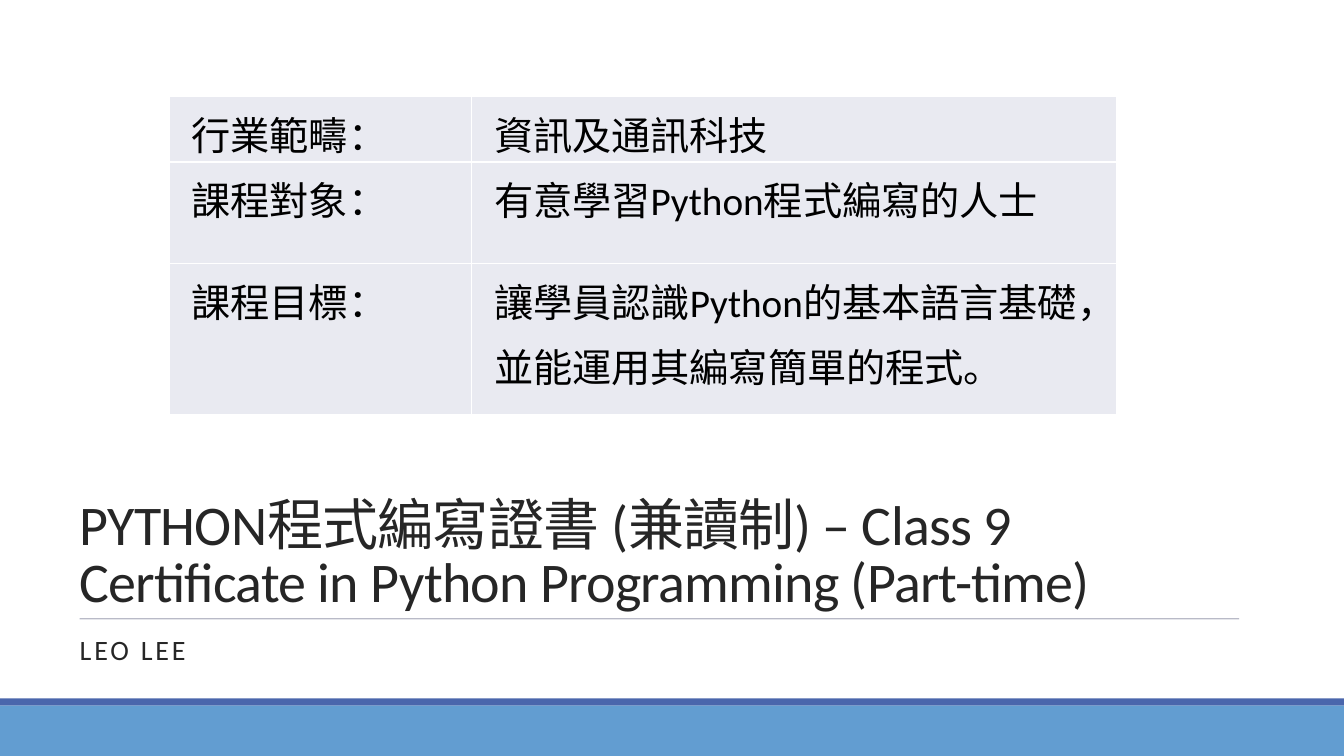
import pptx
import pptx.util
import pptx.dml.color
import pptx.enum.shapes
import pptx.enum.text
import pptx.oxml.ns
from dataclasses import dataclass
from lxml import etree

Inches = pptx.util.Inches
Pt = pptx.util.Pt
RGB = pptx.dml.color.RGBColor.from_string
qn = pptx.oxml.ns.qn
Anchor = pptx.enum.text.MSO_ANCHOR


@dataclass(frozen=True)
class Theme:
    font: str = "Calibri"
    title_size: int = 40
    table_size: int = 28
    subtitle_size: int = 20
    paper: str = "FFFFFF"
    heading: str = "262626"
    ink: str = "000000"
    rule: str = "242852"
    stripe: str = "4A66AC"
    band: str = "629DD1"
    cell: str = "E9EAF1"


def apply(target, values):
    for name, value in values.items():
        setattr(target, name, value)


class TitlePage:
    def __init__(self, deck, theme):
        self.theme = theme
        self.page = deck.slides.add_slide(deck.slide_layouts[0])

    def set_text(self, frame, text, size, color, para_format, tracking=None):
        frame.text = text
        para = frame.paragraphs[0]
        apply(para, para_format)
        for span in para.runs:
            apply(span.font, {"name": self.theme.font, "size": Pt(size), "bold": False})
            span.font.color.rgb = RGB(color)
            if tracking is not None:
                span.font._element.set("spc", str(round(tracking * 100)))

    def heading(self, box, place, text, size, anchor, para_format, tracking):
        left, top, width, height = map(Inches, place)
        apply(box, {"left": left, "top": top, "width": width, "height": height})
        apply(box.text_frame, {"vertical_anchor": anchor, "word_wrap": True,
                               "auto_size": pptx.enum.text.MSO_AUTO_SIZE.NONE})
        layout = {"alignment": pptx.enum.text.PP_ALIGN.LEFT, **para_format}
        self.set_text(box.text_frame, text, size, self.theme.heading, layout, tracking)

    def bar(self, top, height, color):
        box = self.page.shapes.add_shape(
            pptx.enum.shapes.MSO_SHAPE.RECTANGLE,
            0, Inches(top), Inches(13.33), Inches(height))
        box.shadow.inherit = False
        box.fill.solid()
        box.fill.fore_color.rgb = RGB(color)
        box.line.fill.background()
        return box

    def rule(self, left, right, top):
        line = self.page.shapes.add_connector(
            pptx.enum.shapes.MSO_CONNECTOR.STRAIGHT,
            Inches(left), Inches(top), Inches(right), Inches(top))
        line.line.width = Pt(0.5)
        line.line.color.rgb = RGB(self.theme.rule)
        properties = line._element.spPr
        color = properties.find(".//" + qn("a:srgbClr"))
        etree.SubElement(color, qn("a:alpha"), val="90000")
        etree.SubElement(properties, qn("a:effectLst"))

    def borders(self, cell):
        properties = cell._tc.get_or_add_tcPr()
        for side in ("lnL", "lnR", "lnT", "lnB"):
            edge = etree.SubElement(properties, qn("a:" + side), w=str(Pt(1)))
            fill = etree.SubElement(edge, qn("a:solidFill"))
            etree.SubElement(fill, qn("a:srgbClr"), val=self.theme.paper)

    def table(self, left, top, widths, heights, rows):
        table = self.page.shapes.add_table(
            len(rows), len(widths), Inches(left), Inches(top),
            Inches(sum(widths)), Inches(sum(heights))).table
        apply(table, {"first_row": False, "horz_banding": False})
        for column, width in zip(table.columns, widths):
            column.width = Inches(width)
        for row, height, texts in zip(table.rows, heights, rows):
            row.height = Inches(height)
            for cell, text in zip(row.cells, texts):
                apply(cell, {"margin_left": Inches(0.22), "margin_right": Inches(0.22),
                             "margin_top": 0, "margin_bottom": 0})
                self.borders(cell)
                cell.fill.solid()
                cell.fill.fore_color.rgb = RGB(self.theme.cell)
                self.set_text(cell.text_frame, text, self.theme.table_size,
                              self.theme.ink, {"line_spacing": 1.15})


def main():
    deck = pptx.Presentation()
    apply(deck, {"slide_width": Inches(13.33), "slide_height": Inches(7.5)})
    theme = Theme()
    cover = TitlePage(deck, theme)

    # White panel behind everything
    panel = cover.bar(0, 6.93, theme.paper)._element
    panel.getparent().insert(2, panel)

    # Title and presenter
    title, subtitle = cover.page.placeholders
    cover.heading(title, (0.69, 4.98, 11.93, 1.16),
                  "PYTHON程式編寫證書 (兼讀制) – Class 9\v"
                  "Certificate in Python Programming (Part-time)",
                  theme.title_size, Anchor.BOTTOM, {"line_spacing": 0.85}, -0.5)
    cover.heading(subtitle, (0.69, 6.26, 11.95, 0.56), "LEO LEE",
                  theme.subtitle_size, Anchor.TOP,
                  {"line_spacing": 0.9, "space_before": Pt(12), "space_after": Pt(2)}, 2)

    # Rule and footer bands
    cover.rule(0.79, 12.29, 6.14)
    cover.bar(6.93, 0.07, theme.stripe)
    cover.bar(7, 0.5, theme.band)

    # Course facts
    cover.table(1.68, 0.96, (3, 6.39), (0.52, 1.01, 1.5), (
        ("行業範疇：", "資訊及通訊科技"),
        ("課程對象：", "有意學習Python程式編寫的人士"),
        ("課程目標：", "讓學員認識Python的基本語言基礎，並能運用其編寫簡單的程式。"),
    ))

    deck.save("out.pptx")


if __name__ == "__main__":
    main()
